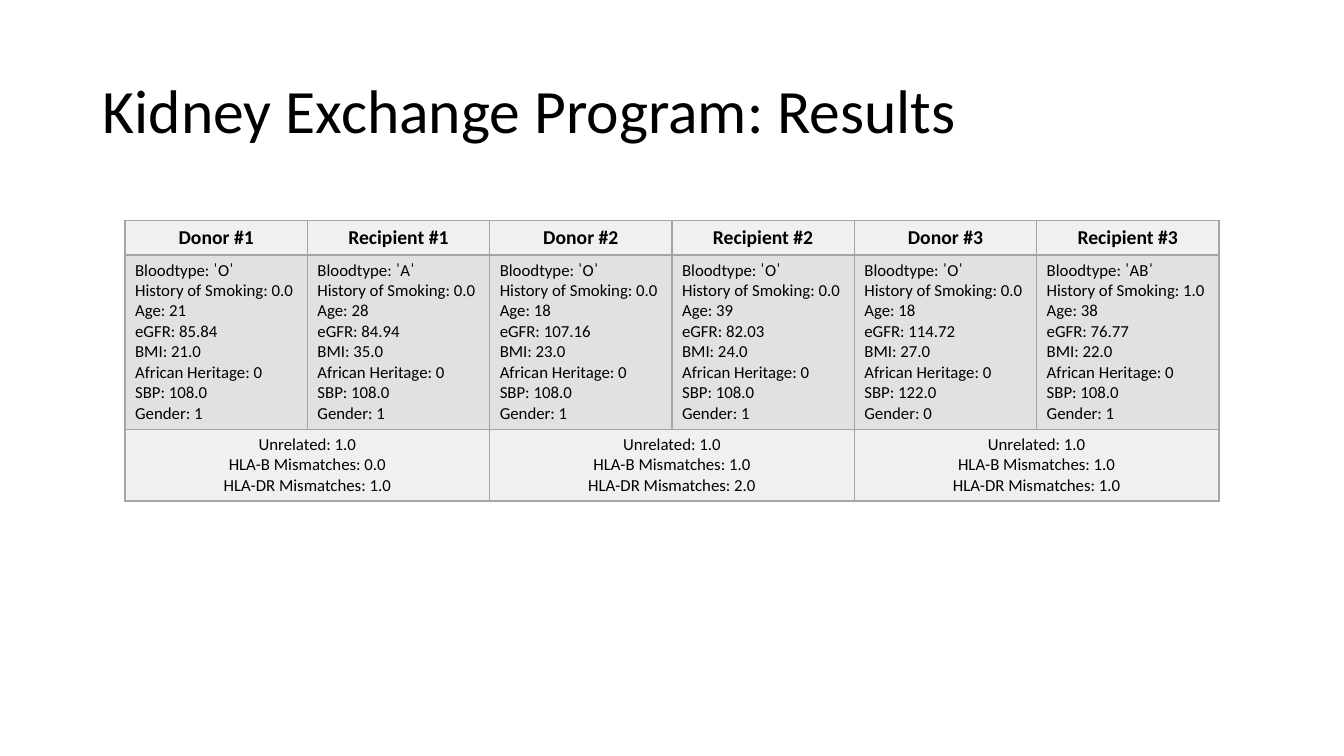
from pptx import Presentation
from pptx.dml.color import RGBColor
from pptx.enum.text import MSO_ANCHOR, PP_ALIGN
from pptx.oxml.ns import qn
from pptx.util import Inches, Pt
from lxml.etree import SubElement

FONT = "Calibri"
BLACK = RGBColor(0x00, 0x00, 0x00)
LIGHT = RGBColor(0xF0, 0xF0, 0xF0)
SHADE = RGBColor(0xE1, 0xE1, 0xE1)
BORDER = RGBColor(0xA5, 0xA5, 0xA5)

PROFILE = (
    "Bloodtype: ˈ{}ˈ\nHistory of Smoking: {}\nAge: {}\veGFR: {}\n"
    "BMI: {}\nAfrican Heritage: {}\vSBP: {}\nGender: {}"
)
MATCH = "Unrelated: {}\nHLA-B Mismatches: {}\vHLA-DR Mismatches: {}"

PEOPLE = [
    ("Donor #1", ("O", "0.0", 21, "85.84", "21.0", 0, "108.0", 1)),
    ("Recipient #1", ("A", "0.0", 28, "84.94", "35.0", 0, "108.0", 1)),
    ("Donor #2", ("O", "0.0", 18, "107.16", "23.0", 0, "108.0", 1)),
    ("Recipient #2", ("O", "0.0", 39, "82.03", "24.0", 0, "108.0", 1)),
    ("Donor #3", ("O", "0.0", 18, "114.72", "27.0", 0, "122.0", 0)),
    ("Recipient #3", ("AB", "1.0", 38, "76.77", "22.0", 0, "108.0", 1)),
]
PAIRS = [("1.0", "0.0", "1.0"), ("1.0", "1.0", "2.0"), ("1.0", "1.0", "1.0")]
ROW_HEIGHTS = (0.34, 1.73, 0.7)


def set_font(p, size, bold=False):
    p.font.name = FONT
    p.font.size = Pt(size)
    p.font.bold = bold
    p.font.color.rgb = BLACK


def add_title(s, text, left, top, width, height):
    sp = s.shapes.title
    sp.left, sp.top = Inches(left), Inches(top)
    sp.width, sp.height = Inches(width), Inches(height)
    tf = sp.text_frame
    tf.text = text
    tf.vertical_anchor = MSO_ANCHOR.MIDDLE
    p = tf.paragraphs[0]
    p.alignment = PP_ALIGN.LEFT
    p.line_spacing = 0.9
    set_font(p, 44)


def style_cell(cell, fill):
    tcPr = cell._tc.get_or_add_tcPr()
    for side in ("a:lnL", "a:lnR", "a:lnT", "a:lnB"):
        ln = SubElement(tcPr, qn(side), w=str(Pt(1)))
        solid = SubElement(ln, qn("a:solidFill"))
        SubElement(solid, qn("a:srgbClr"), val=str(BORDER))
    cell.fill.solid()
    cell.fill.fore_color.rgb = fill


def write_cell(cell, text, size, align, bold=False):
    cell.text = text
    for p in cell.text_frame.paragraphs:
        p.alignment = align
        set_font(p, size, bold)


def add_results_table(s, left, top, width):
    table = s.shapes.add_table(
        len(ROW_HEIGHTS), len(PEOPLE), Inches(left), Inches(top),
        Inches(width), Inches(sum(ROW_HEIGHTS)),
    ).table
    for row, height in zip(table.rows, ROW_HEIGHTS):
        row.height = Inches(height)
    for row, fill in enumerate((LIGHT, SHADE, LIGHT)):
        for col in range(len(PEOPLE)):
            style_cell(table.cell(row, col), fill)
    for col, (name, profile) in enumerate(PEOPLE):
        write_cell(table.cell(0, col), name, 14, PP_ALIGN.CENTER, True)
        write_cell(table.cell(1, col), PROFILE.format(*profile), 12, PP_ALIGN.LEFT)
    for i, match in enumerate(PAIRS):
        cell = table.cell(2, 2 * i)
        cell.merge(table.cell(2, 2 * i + 1))
        write_cell(cell, MATCH.format(*match), 12, PP_ALIGN.CENTER)


def main():
    prs = Presentation()
    prs.slide_width, prs.slide_height = Inches(13.33), Inches(7.5)
    s = prs.slides.add_slide(prs.slide_layouts[5])
    add_title(s, "Kidney Exchange Program: Results", 0.92, 0.4, 11.5, 1.45)
    add_results_table(s, 1.24, 2.19, 10.85)
    prs.save("out.pptx")


if __name__ == "__main__":
    main()
